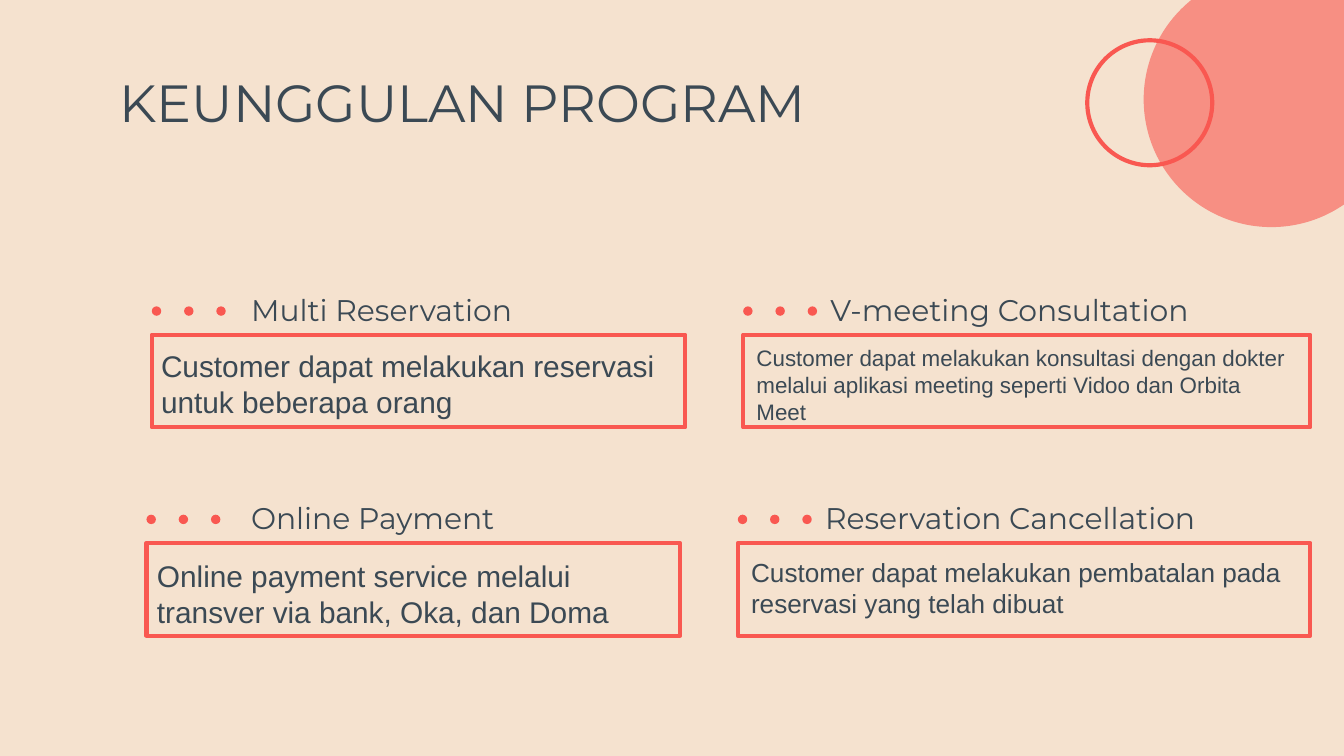
from lxml import etree
from pptx import Presentation
from pptx.dml.color import RGBColor
from pptx.enum import shapes, text
from pptx.oxml import ns
from pptx.util import Inches, Pt

CREAM = RGBColor(0xF5, 0xE2, 0xCF)
CORAL = RGBColor(0xF9, 0x58, 0x51)
SLATE = RGBColor(0x3B, 0x49, 0x54)
HEADING_FONT, BODY_FONT = "Montserrat", "Arial"


def add_figure(parent, kind, left, top, width, height, fill=None, alpha=None, line=None):
    """Add a preset shape, filled or outlined; alpha is opacity in percent."""
    figure = parent.add_shape(kind, Inches(left), Inches(top), Inches(width), Inches(height))
    figure.shadow.inherit = False
    if fill is None:
        figure.fill.background()
    else:
        figure.fill.solid()
        figure.fill.fore_color.rgb = fill
    if alpha is not None:
        color = figure.fill._xPr.find(".//" + ns.qn("a:srgbClr"))
        etree.SubElement(color, ns.qn("a:alpha")).set("val", str(alpha * 1000))
    if line is None:
        figure.line.fill.background()
    else:
        figure.line.color.rgb = line
        figure.line.width = Pt(2.25)
        etree.SubElement(figure.line._get_or_add_ln(), ns.qn("a:round"))
    return figure


def write_text(box, content, size=16, font=HEADING_FONT, color=SLATE):
    """Fill a box with one left-aligned paragraph, set from the top."""
    frame = box.text_frame
    frame.word_wrap = True
    frame.auto_size = text.MSO_AUTO_SIZE.NONE
    frame.vertical_anchor = text.MSO_ANCHOR.TOP
    frame.margin_left = frame.margin_right = Inches(0.1)
    frame.margin_top = frame.margin_bottom = Inches(0.1)
    para = frame.paragraphs[0]
    para.alignment = text.PP_ALIGN.LEFT
    para.line_spacing = 1.0
    para.space_before = Pt(0)
    span = para.add_run()
    span.text = content
    span.font.size = Pt(size)
    span.font.name = font
    span.font.color.rgb = color


def add_text(page, left, top, width, height, content, **style):
    box = page.shapes.add_textbox(Inches(left), Inches(top), Inches(width), Inches(height))
    write_text(box, content, **style)


def add_corner_circles(page, left, top):
    """Overlapping disc and ring; left and top belong to the ring."""
    oval = shapes.MSO_SHAPE.OVAL
    add_figure(page.shapes, oval, left + 0.42, top - 0.51, 1.9, 1.9, fill=CORAL, alpha=60)
    add_figure(page.shapes, oval, left, top, 0.93, 0.93, line=CORAL)


def add_title(page, left, top, width, height, content):
    title = page.shapes.title
    title.left, title.top = Inches(left), Inches(top)
    title.width, title.height = Inches(width), Inches(height)
    write_text(title, content, size=28)


def add_feature(page, left, top, width, heading, heading_shift, heading_width,
                body, body_size, body_shift, body_width):
    """Framed description with three dots and a heading above it."""
    # Frame and description
    add_figure(page.shapes, shapes.MSO_SHAPE.RECTANGLE, left, top, width, 0.69, line=CORAL)
    add_text(page, left + body_shift[0], top + body_shift[1], body_width, 0.63, body,
             size=body_size, font=BODY_FONT)
    # Dots
    dots = page.shapes.add_group_shape()
    for index in range(3):
        add_figure(dots.shapes, shapes.MSO_SHAPE.OVAL,
                   left + index * 0.24, top - 0.21, 0.07, 0.07, fill=CORAL)
    # Heading
    add_text(page, left + heading_shift, top - 0.42, heading_width, 0.53, heading)


FEATURES = [
    # left, top, width, heading, its shift and width, body, its size, shift and width
    (1.13, 2.49, 3.97, "Multi Reservation", 0.64, 2.58,
     "Customer dapat melakukan reservasi untuk beberapa orang",
     16, (-0.03, 0), 3.97),
    (1.09, 4.04, 3.97, "Online Payment", 0.68, 2.58,
     "Online payment service melalui transver via bank, Oka, dan Doma",
     16, (-0.02, 0.01), 3.97),
    (5.53, 2.49, 4.22, "V-meeting Consultation", 0.55, 3.6,
     "Customer dapat melakukan konsultasi dengan dokter melalui aplikasi meeting "
     "seperti Vidoo dan Orbita Meet", 12, (0, -0.03), 4.15),
    (5.49, 4.04, 4.26, "Reservation Cancellation", 0.55, 3.72,
     "Customer dapat melakukan pembatalan pada reservasi yang telah dibuat",
     14, (0, 0), 4.33),
]


def main():
    deck = Presentation()
    # Widescreen, 16:9
    deck.slide_width = Inches(10)
    deck.slide_height = deck.slide_width * 9 // 16
    page = deck.slides.add_slide(deck.slide_layouts[5])
    page.background.fill.solid()
    page.background.fill.fore_color.rgb = CREAM

    add_corner_circles(page, 8.09, 0.3)
    add_title(page, 0.79, 0.42, 8.43, 0.63, "KEUNGGULAN PROGRAM")
    for feature in FEATURES:
        add_feature(page, *feature)

    deck.save("out.pptx")


if __name__ == "__main__":
    main()
